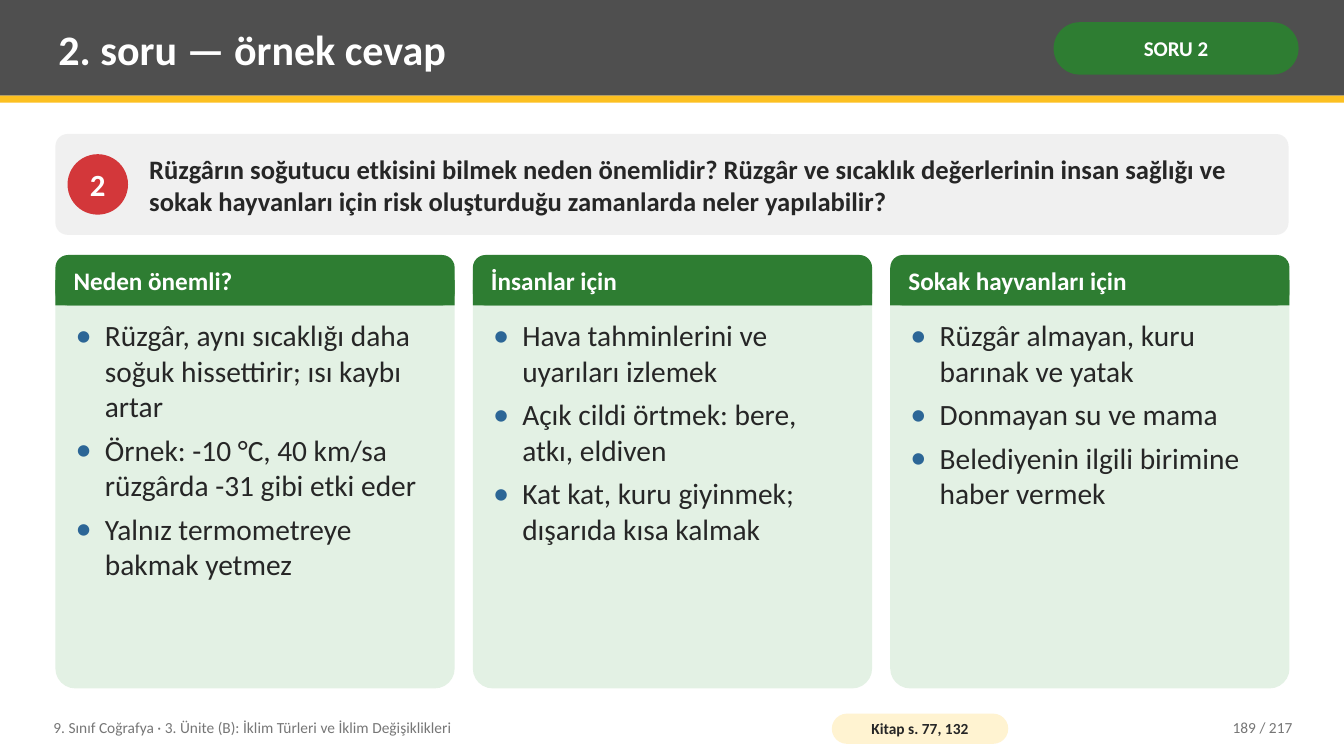
from dataclasses import dataclass

from lxml import etree
from pptx import Presentation
from pptx.dml.color import RGBColor
from pptx.enum import shapes, text
from pptx.oxml import ns
from pptx.shapes.autoshape import Shape
from pptx.slide import Slide
from pptx.text.text import TextFrame
from pptx.util import Emu, Pt

PX = 9144  # 100 px to the inch
FONT = "Calibri"

WHITE = RGBColor(0xFF, 0xFF, 0xFF)
INK = RGBColor(0x26, 0x26, 0x26)
GREY = RGBColor(0x76, 0x76, 0x76)
HEADER_GREY = RGBColor(0x4F, 0x4F, 0x4F)
GOLD = RGBColor(0xFC, 0xC0, 0x21)
GREEN = RGBColor(0x2E, 0x7D, 0x32)
PALE_GREEN = RGBColor(0xE3, 0xF1, 0xE4)
PALE_GREY = RGBColor(0xF0, 0xF0, 0xF0)
PALE_GOLD = RGBColor(0xFF, 0xF3, 0xD1)
RED = RGBColor(0xD3, 0x37, 0x3A)
BULLET_BLUE = RGBColor(0x2C, 0x66, 0x96)

RECT = shapes.MSO_SHAPE.RECTANGLE
ROUNDED = shapes.MSO_SHAPE.ROUNDED_RECTANGLE
OVAL = shapes.MSO_SHAPE.OVAL
LEFT, CENTER, RIGHT = text.PP_ALIGN.LEFT, text.PP_ALIGN.CENTER, text.PP_ALIGN.RIGHT
TOP, MIDDLE = text.MSO_ANCHOR.TOP, text.MSO_ANCHOR.MIDDLE


@dataclass(frozen=True)
class Box:
    left: int
    top: int
    width: int
    height: int

    def emu(self) -> tuple[Emu, ...]:
        return tuple(Emu(v * PX) for v in (self.left, self.top, self.width, self.height))


@dataclass(frozen=True)
class Card:
    heading: str
    points: tuple[str, ...]
    placeholder: int


CARDS = (
    Card("Neden önemli?", (
        "Rüzgâr, aynı sıcaklığı daha soğuk hissettirir; ısı kaybı artar",
        "Örnek: -10 °C, 40 km/sa rüzgârda -31 gibi etki eder",
        "Yalnız termometreye bakmak yetmez"), 1),
    Card("İnsanlar için", (
        "Hava tahminlerini ve uyarıları izlemek",
        "Açık cildi örtmek: bere, atkı, eldiven",
        "Kat kat, kuru giyinmek; dışarıda kısa kalmak"), 2),
    Card("Sokak hayvanları için", (
        "Rüzgâr almayan, kuru barınak ve yatak",
        "Donmayan su ve mama",
        "Belediyenin ilgili birimine haber vermek"), 4),
)


def add_bullet(properties: etree._Element) -> None:
    """Give a paragraph a hanging blue dot."""
    properties.set("marL", str(29 * PX))
    properties.set("indent", str(-29 * PX))
    colour = etree.SubElement(properties, ns.qn("a:buClr"))
    etree.SubElement(colour, ns.qn("a:srgbClr"), val=str(BULLET_BLUE))
    etree.SubElement(properties, ns.qn("a:buSzPct"), val="110000")
    etree.SubElement(properties, ns.qn("a:buFont"), typeface=FONT)
    etree.SubElement(properties, ns.qn("a:buChar"), char="•")


def write(frame: TextFrame, *lines: str, size: int, color: RGBColor = WHITE,
          bold: bool = True, align: text.PP_ALIGN = LEFT,
          anchor: text.MSO_ANCHOR = MIDDLE, inset: tuple[int, int] = (8, 4),
          wrap: bool = True, bullets: bool = False) -> None:
    frame.auto_size = text.MSO_AUTO_SIZE.NONE
    frame.word_wrap = wrap
    frame.vertical_anchor = anchor
    frame.margin_left = frame.margin_right = Emu(inset[0] * PX)
    frame.margin_top = frame.margin_bottom = Emu(inset[1] * PX)
    for number, line in enumerate(lines):
        paragraph = frame.add_paragraph() if number else frame.paragraphs[0]
        paragraph.alignment = align
        paragraph.space_before = Pt(0)
        paragraph.space_after = Pt(6 if number < len(lines) - 1 else 0)
        if bullets:
            add_bullet(paragraph._p.get_or_add_pPr())
        run = paragraph.add_run()
        run.text = line
        run.font.name = FONT
        run.font.size = Pt(size)
        run.font.bold = bold
        run.font.color.rgb = color


def add_panel(slide: Slide, box: Box, fill: RGBColor,
              kind: shapes.MSO_SHAPE = RECT, radius: float | None = None) -> Shape:
    panel = slide.shapes.add_shape(kind, *box.emu())
    panel.shadow.inherit = False
    panel.fill.solid()
    panel.fill.fore_color.rgb = fill
    panel.line.fill.background()
    if radius is not None:
        panel.adjustments[0] = radius
    return panel


def add_label(slide: Slide, box: Box) -> TextFrame:
    return slide.shapes.add_textbox(*box.emu()).text_frame


def place(slide: Slide, index: int, box: Box) -> TextFrame:
    """Move a placeholder into its box, in front of what is already drawn."""
    holder = next(p for p in slide.placeholders if p.placeholder_format.idx == index)
    holder.left, holder.top, holder.width, holder.height = box.emu()
    slide.shapes.element.append(holder.element)
    return holder.text_frame


def add_card(slide: Slide, card: Card, left: int) -> None:
    top, width, heading_height = 253, 396, 50
    half = heading_height // 2
    add_panel(slide, Box(left, top, width, 430), PALE_GREEN, ROUNDED, 0.05)
    add_panel(slide, Box(left, top, width, heading_height), GREEN, ROUNDED, 0.25)
    add_panel(slide, Box(left, top + half, width, half), GREEN)
    write(add_label(slide, Box(left + 10, top, width - 20, heading_height)),
          card.heading, size=18)
    write(place(slide, card.placeholder, Box(left + 12, top + 58, width - 24, 364)),
          *card.points, size=21, color=INK, bold=False, anchor=TOP, bullets=True)


def main() -> None:
    deck = Presentation()
    deck.slide_width, deck.slide_height = Emu(1333 * PX), Emu(750 * PX)
    slide = deck.slides.add_slide(deck.slide_layouts.get_by_name("Comparison"))

    # Header
    add_panel(slide, Box(0, 0, 1333, 95), HEADER_GREY)
    add_panel(slide, Box(0, 95, 1333, 7), GOLD)
    write(place(slide, 0, Box(50, 7, 975, 82)), "2. soru — örnek cevap", size=30)
    badge = add_panel(slide, Box(1045, 22, 243, 52), GREEN, ROUNDED, 0.5)
    write(badge.text_frame, "SORU 2", size=15, align=CENTER, inset=(5, 2))

    # Question
    add_panel(slide, Box(55, 133, 1223, 100), PALE_GREY, ROUNDED, 0.12)
    number = add_panel(slide, Box(67, 153, 60, 60), RED, OVAL)
    write(number.text_frame, "2", size=22, align=CENTER, inset=(0, 0), wrap=False)
    write(add_label(slide, Box(140, 133, 1128, 100)),
          "Rüzgârın soğutucu etkisini bilmek neden önemlidir? Rüzgâr ve sıcaklık "
          "değerlerinin insan sağlığı ve sokak hayvanları için risk oluşturduğu "
          "zamanlarda neler yapılabilir?", size=19, color=INK)

    # Answer cards
    for column, card in enumerate(CARDS):
        add_card(slide, card, 55 + 414 * column)

    # Footer
    write(add_label(slide, Box(45, 704, 760, 36)),
          "9. Sınıf Coğrafya · 3. Ünite (B): İklim Türleri ve İklim Değişiklikleri",
          size=11, color=GREY, bold=False)
    source = add_panel(slide, Box(825, 708, 175, 30), PALE_GOLD, ROUNDED, 0.5)
    write(source.text_frame, "Kitap s. 77, 132", size=11, color=INK,
          align=CENTER, inset=(4, 0))
    write(add_label(slide, Box(1130, 704, 160, 36)), "189 / 217",
          size=11, color=GREY, bold=False, align=RIGHT)

    # Unused placeholders
    for holder in list(slide.placeholders):
        if not holder.text_frame.text:
            slide.shapes.element.remove(holder.element)

    deck.save("out.pptx")


if __name__ == "__main__":
    main()
